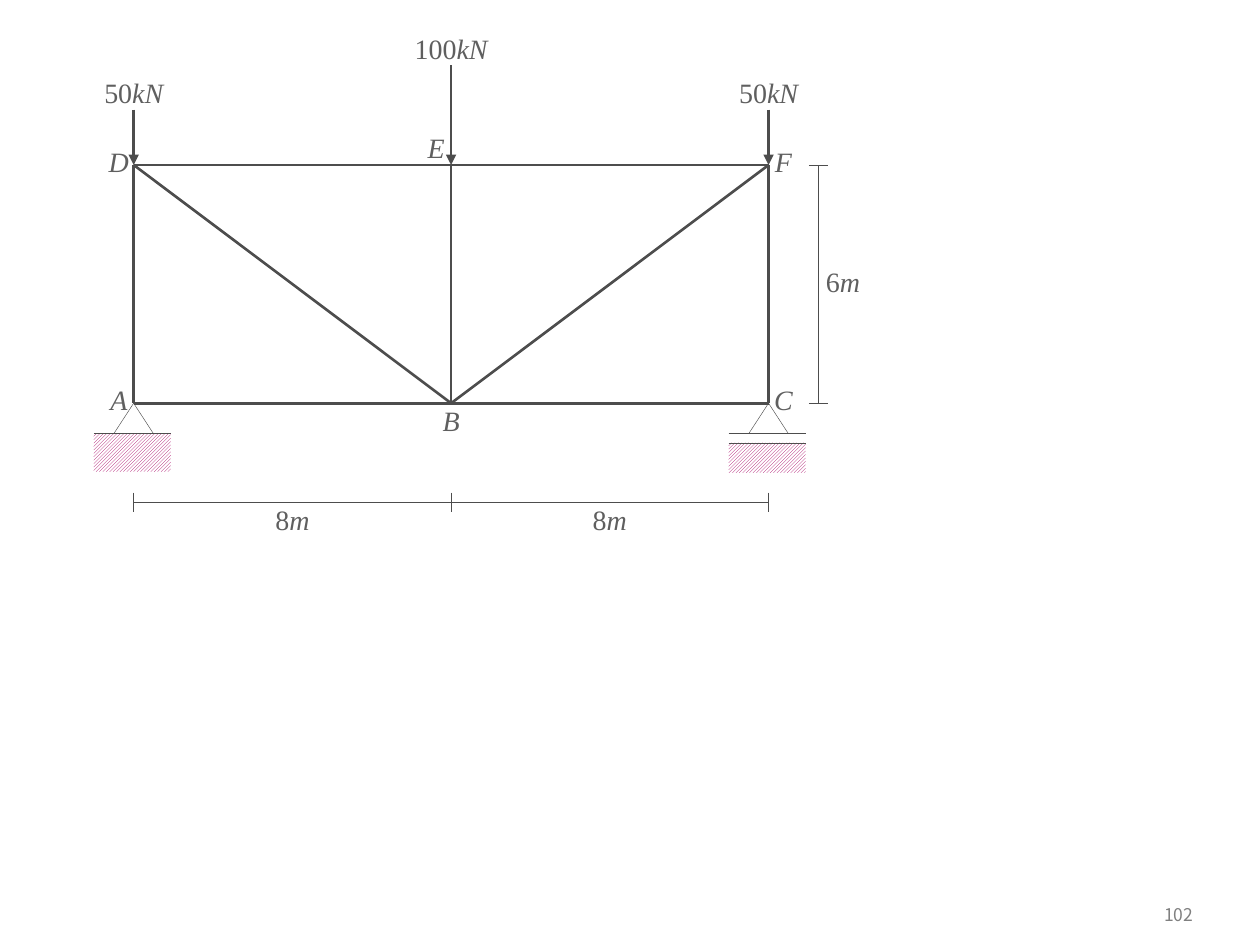
import pptx
import pptx.util
import pptx.dml.color
import pptx.enum.dml
import pptx.enum.shapes
import pptx.enum.text
import pptx.oxml.ns
import lxml.etree

Pt = pptx.util.Pt
ALIGN = pptx.enum.text.PP_ALIGN
ANCHOR = pptx.enum.text.MSO_ANCHOR
SHAPE = pptx.enum.shapes.MSO_SHAPE
COLORS = {
    name: pptx.dml.color.RGBColor.from_string(value)
    for name, value in {
        "line": "4D4D4D", "label": "5F5F5F", "number": "808080",
        "hatch": "A90165", "paper": "FFFFFF",
    }.items()
}
THICK, THIN = 1.5, 0.25

deck = pptx.Presentation()
deck.slide_width, deck.slide_height = Pt(720), Pt(540)
slide = deck.slides.add_slide(deck.slide_layouts[6])
shapes = slide.shapes


def draw_line(start, end, width, arrow=False):
    line = shapes.add_connector(
        pptx.enum.shapes.MSO_CONNECTOR.STRAIGHT, *map(Pt, (*start, *end)))
    line.line.color.rgb = COLORS["line"]
    line.line.width = Pt(width)
    if arrow:
        lxml.etree.SubElement(line.line._get_or_add_ln(),
                              pptx.oxml.ns.qn("a:tailEnd"), type="triangle")
    lxml.etree.SubElement(line._element.spPr, pptx.oxml.ns.qn("a:effectLst"))


def write(box, runs, size=16, font="Times New Roman", color="label",
          align=ALIGN.CENTER, anchor=ANCHOR.TOP):
    """Put (text, italic) runs in a text box at box = left, top, width, height."""
    frame = shapes.add_textbox(*map(Pt, box)).text_frame
    frame.margin_left = frame.margin_right = 0
    frame.margin_top = frame.margin_bottom = 0
    frame.vertical_anchor = anchor
    paragraph = frame.paragraphs[0]
    paragraph.alignment = align
    for text, italic in runs:
        run = paragraph.add_run()
        run.text = text
        run.font.size = Pt(size)
        run.font.name = font
        run.font.italic = italic
        run.font.color.rgb = COLORS[color]


# Truss geometry: two equal panels between the chords
panel = 181.4
left, middle, right = (76.4 + panel * i for i in range(3))
top, bottom = 94.3, 230.4
joints = {
    "A": (left, bottom), "B": (middle, bottom), "C": (right, bottom),
    "D": (left, top), "E": (middle, top), "F": (right, top),
}

# Supports: pinned at A, roller at C with a gap above its ground
support_height, ground_width, pin_width = 17.2, 44, 22.4
support_base = bottom + support_height
for joint, gap, ground_height in (("C", 5.4, 17.2), ("A", 0, 22)):
    x = joints[joint][0]
    ground_left, ground_right = x - ground_width / 2 - 0.8, x + ground_width / 2 - 0.8
    ground_top = support_base + gap
    ground = shapes.add_shape(
        SHAPE.RECTANGLE, Pt(ground_left), Pt(ground_top), Pt(ground_width), Pt(ground_height))
    ground.shadow.inherit = False
    ground.fill.patterned()
    ground.fill.pattern = pptx.enum.dml.MSO_PATTERN.LIGHT_UPWARD_DIAGONAL
    ground.fill.fore_color.rgb = COLORS["hatch"]
    ground.fill.back_color.rgb = COLORS["paper"]
    ground.line.fill.background()

    pin = shapes.add_shape(SHAPE.ISOSCELES_TRIANGLE, Pt(x - pin_width / 2), Pt(bottom),
                           Pt(pin_width), Pt(support_height))
    pin.shadow.inherit = False
    pin.fill.background()
    pin.line.color.rgb = COLORS["line"]
    pin.line.width = Pt(THIN)

    for y in sorted({support_base, ground_top}):
        draw_line((ground_left, y), (ground_right, y), THIN)

# Members
for start, end in ("AC", "DF", "AD", "BE", "CF", "BD", "BF"):
    draw_line(joints[start], joints[end], THICK)

# Loads: joint, size, arrow start, label top, label width
for joint, load, arrow_top, label_top, label_width in (
    ("D", "50", 62.6, 43.2, 34),
    ("E", "100", 37.4, 18, 45.4),
    ("F", "50", 62.6, 43.2, 34),
):
    x = joints[joint][0]
    draw_line((x, arrow_top), joints[joint], THICK, arrow=True)
    write((x - label_width / 2, label_top, label_width, 22.3),
          [(load, False), ("kN", True)])

# Joint names, as offsets from the joint to the label's top left corner
for joint, dx, dy in (("A", -17, -11.5), ("B", -8.5, 0), ("C", 0, -11.5),
                      ("D", -17, -11.5), ("E", -17, -19.4), ("F", 0, -11.5)):
    x, y = joints[joint]
    write((x + dx, y + dy, 17, 19.4), [(joint, True)])

# Dimensions
tick = 5.5
span_y, height_x = 287, 467.7
draw_line((left, span_y), (right, span_y), THIN)
for x in (left, middle, right):
    draw_line((x, span_y - tick), (x, span_y + tick), THIN)
for x in (left, middle):
    write((x + panel / 2 - 11.2, span_y, 22.4, 20), [("8", False), ("m", True)])

draw_line((height_x, bottom), (height_x, top), THIN)
for y in (top, bottom):
    draw_line((height_x - tick, y), (height_x + tick, y), THIN)
write((height_x, 151.4, 28, 17.3), [("6", False), ("m", True)])

# Page number
write((638, 510.5, 43.8, 23.8), [("102", False)], 10, "Noto Sans CJK KR",
      "number", ALIGN.RIGHT, ANCHOR.MIDDLE)

deck.save("out.pptx")
